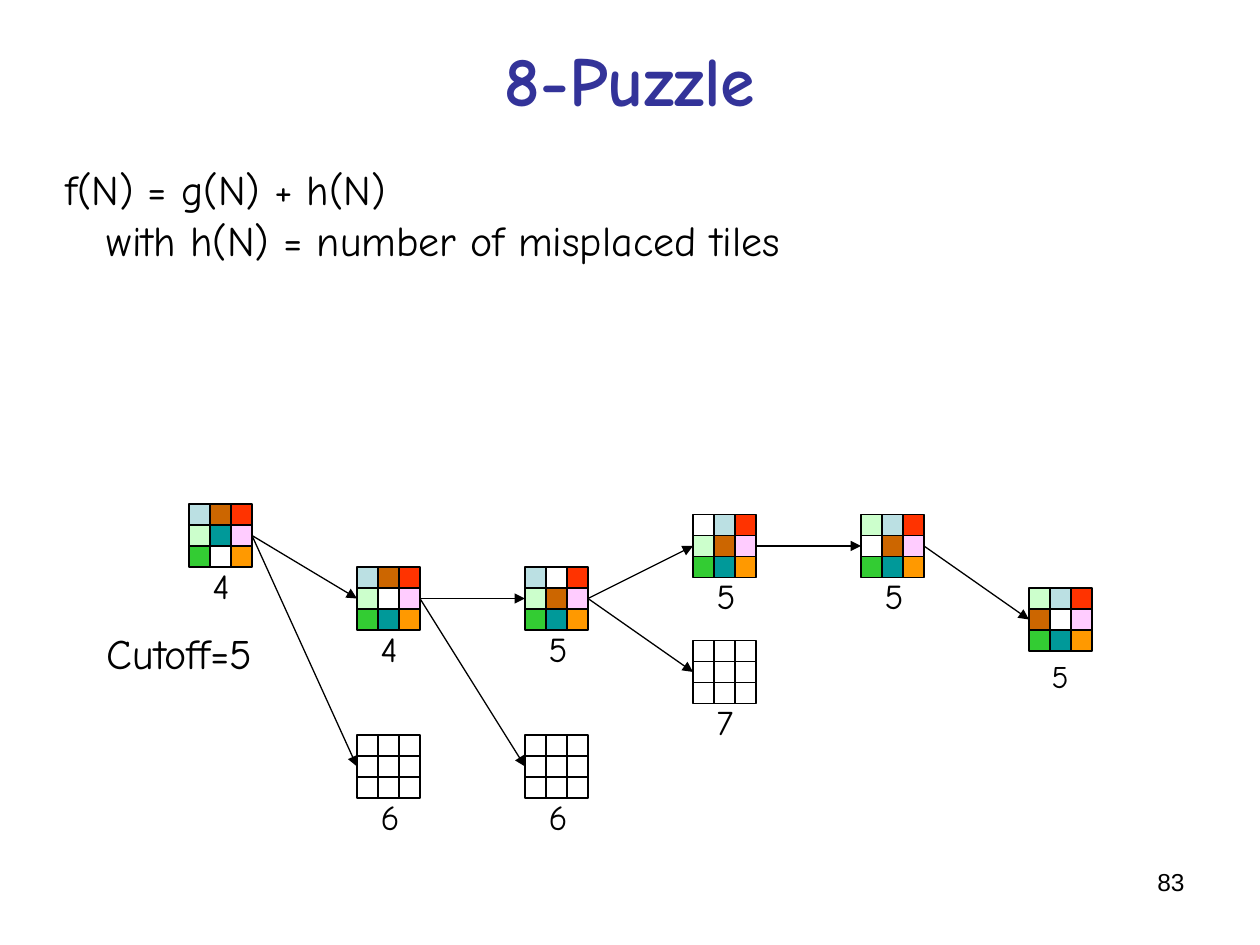
"""Build the 8-Puzzle search slide with cutoff 5."""
from dataclasses import dataclass

from lxml import etree
from pptx import Presentation, util as u
from pptx.dml.color import RGBColor
from pptx.enum import shapes, text
from pptx.oxml import ns

TILE = 1 / 6
SIDE = 3
FIRST_COLUMN, COLUMN_PITCH = 9, 8

TILES = {
    "a": "BBE0E3", "b": "CC6600", "c": "FF3300", "d": "CCFFCC", "e": "009999",
    "f": "FFCCFF", "g": "33CC33", "h": "FF9900", "_": "FFFFFF",
}
EMPTY = "_" * SIDE ** 2

# name: (tree column, top in tiles, tile order, score)
BOARDS = {
    "root": (0, 24, "abcdefg_h", "4"),
    "up": (1, 27, "abcd_fgeh", "4"),
    "root cut": (1, 35, EMPTY, "6"),
    "up cut": (2, 35, EMPTY, "6"),
    "up again": (2, 27, "a_cdbfgeh", "5"),
    "right cut": (3, 30.5, EMPTY, "7"),
    "left": (3, 24.5, "_acdbfgeh", "5"),
    "down": (4, 24.5, "dac_bfgeh", "5"),
    "goal path": (5, 28, "dacb_fgeh", "5"),
}
MOVES = [
    ("root", "up"), ("root", "root cut"), ("up", "up cut"), ("up", "up again"),
    ("up again", "right cut"), ("up again", "left"), ("left", "down"),
    ("down", "goal path"),
]
LAST = "goal path"


@dataclass(frozen=True)
class Theme:
    """Colours, fonts and type sizes."""
    ink: str = "000000"
    title: str = "333399"
    hand: str = "Comic Neue"
    plain: str = "Arial"
    title_size: int = 40
    body_size: int = 24
    score_size: int = 20
    last_size: int = 18
    number_size: int = 14
    line: float = 0.75


THEME = Theme()


def rgb(value):
    """Turn a hex string into a colour."""
    return RGBColor.from_string(value)


def add_text(parent, frame, lines, size, color=THEME.ink, font=THEME.hand,
             bold=False, align=text.PP_ALIGN.LEFT, wrap=False):
    """Add a text box with one paragraph per line."""
    box = parent.add_textbox(*map(u.Inches, frame))
    body = box.text_frame
    body.text = "\n".join(lines)
    body.word_wrap = wrap
    if not wrap:
        body.auto_size = text.MSO_AUTO_SIZE.SHAPE_TO_FIT_TEXT
    for para in body.paragraphs:
        para.alignment = align
        para.font.name, para.font.size = font, u.Pt(size)
        para.font.bold, para.font.color.rgb = bold, rgb(color)
    return box


def corner(name):
    """Return the left and top of a board in inches."""
    column, row = BOARDS[name][:2]
    return (FIRST_COLUMN + column * COLUMN_PITCH) * TILE, row * TILE


def add_board(page, name):
    """Draw the score and the tiles of a board as one group."""
    left, top = corner(name)
    order, score = BOARDS[name][2:]
    group = page.shapes.add_group_shape().shapes
    if name == LAST:
        frame, size = (left + 0.08, top + 0.5, 0.35, 0.4), THEME.last_size
    else:
        frame, size = (left + 0.09, top + 0.43, 0.37, 0.43), THEME.score_size
    add_text(group, frame, [score], size)
    for index, key in enumerate(order):
        row, column = divmod(index, SIDE)
        frame = left + column * TILE, top + row * TILE, TILE, TILE
        tile = group.add_shape(shapes.MSO_SHAPE.RECTANGLE, *map(u.Inches, frame))
        tile.shadow.inherit = False
        tile.fill.solid()
        tile.fill.fore_color.rgb = rgb(TILES[key])
        tile.line.color.rgb = rgb(THEME.ink)
        tile.line.width = u.Pt(THEME.line)


def add_move(page, source, target):
    """Draw an arrow from the right of one board to the left of another."""
    (x1, y1), (x2, y2) = corner(source), corner(target)
    half = SIDE * TILE / 2
    ends = x1 + 2 * half, y1 + half, x2, y2 + half
    arrow = page.shapes.add_connector(
        shapes.MSO_CONNECTOR.STRAIGHT, *map(u.Inches, ends))
    arrow.line.color.rgb = rgb(THEME.ink)
    arrow.line.width = u.Pt(THEME.line)
    head = etree.SubElement(arrow.line._get_or_add_ln(), ns.qn("a:tailEnd"))
    head.set("type", "triangle")
    etree.SubElement(arrow._element.spPr, ns.qn("a:effectLst"))


def main():
    """Lay out the slide and save it."""
    deck = Presentation()
    deck.slide_width, deck.slide_height = u.Inches(10), u.Inches(7.5)
    page = deck.slides.add_slide(deck.slide_layouts[6])
    add_text(page.shapes, (7.17, 6.83, 2.33, 0.52), ["83"], THEME.number_size,
             font=THEME.plain, align=text.PP_ALIGN.RIGHT, wrap=True)
    title = add_text(page.shapes, (0.5, 0, 9, 1.25), ["8-Puzzle"],
                     THEME.title_size, THEME.title, bold=True,
                     align=text.PP_ALIGN.CENTER, wrap=True)
    title.text_frame.vertical_anchor = text.MSO_ANCHOR.MIDDLE
    formula = add_text(
        page.shapes, (0.42, 1.25, 6.32, 0.9),
        ["f(N) = g(N) + h(N)", "with h(N) = number of misplaced tiles"],
        THEME.body_size)
    second = formula.text_frame.paragraphs[1]
    second._p.get_or_add_pPr().set("marL", str(u.Inches(0.33)))
    add_text(page.shapes, (0.75, 4.93, 1.62, 0.5), ["Cutoff=5"], THEME.body_size)
    for name in BOARDS:
        add_board(page, name)
    for source, target in MOVES:
        add_move(page, source, target)
    deck.save("out.pptx")


if __name__ == "__main__":
    main()
